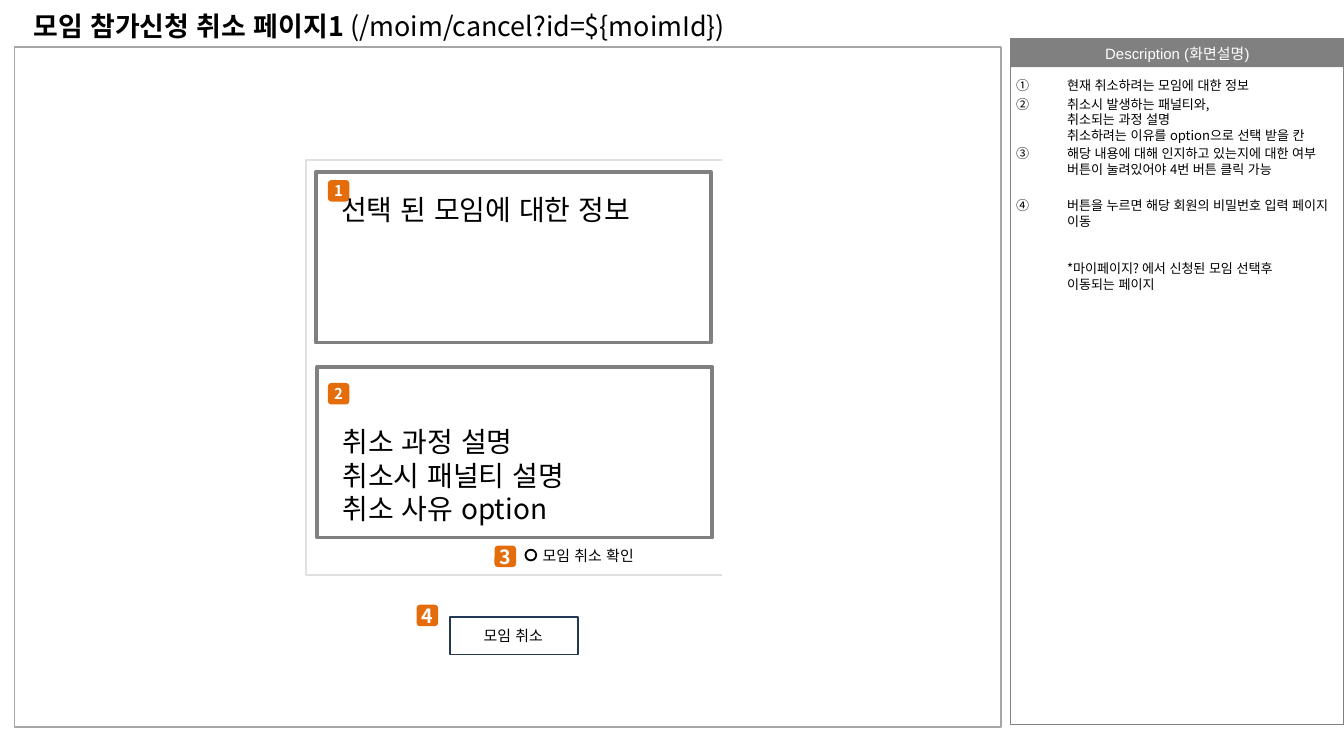
from dataclasses import dataclass
from typing import Optional

from lxml import etree
from pptx import Presentation
from pptx import util as u
from pptx.dml.color import RGBColor
from pptx.enum import lang, shapes, text
from pptx.oxml import ns

FONT = "Noto Sans CJK KR"
HEX = {
    "white": "FFFFFF", "black": "000000", "gray": "808080",
    "border": "A6A6A6", "pale": "E0E0E0", "navy": "233953",
    "orange": "E46C0A",
}
KIND = shapes.MSO_SHAPE
ALIGN = text.PP_ALIGN
MID = text.MSO_ANCHOR.MIDDLE


@dataclass
class Box:
    left: float
    top: float
    width: float
    height: float
    line: Optional[str] = None
    weight: float = 1
    fill: Optional[str] = None
    kind: int = KIND.RECTANGLE


@dataclass
class Label:
    left: float
    top: float
    width: float
    height: float
    lines: list[str]
    size: float


@dataclass
class Badge:
    left: float
    top: float
    mark: str
    size: float


@dataclass
class Note:
    lines: list[str]
    gap: float = 1.4
    mark: bool = True


def color(name: str) -> RGBColor:
    return RGBColor.from_string(HEX[name])


def style(shape, box: Box) -> None:
    shape.shadow.inherit = False
    if box.fill:
        shape.fill.solid()
        shape.fill.fore_color.rgb = color(box.fill)
    else:
        shape.fill.background()
    if box.line:
        shape.line.color.rgb = color(box.line)
        shape.line.width = u.Pt(box.weight)
    else:
        shape.line.fill.background()


def draw_box(slide, box: Box):
    shape = slide.shapes.add_shape(
        box.kind, u.Inches(box.left), u.Inches(box.top),
        u.Inches(box.width), u.Inches(box.height))
    style(shape, box)
    return shape


def add_run(para, words: str, size: float, bold: bool = False,
            ink: str = "black", face: str = FONT) -> None:
    run = para.add_run()
    run.text = words
    font = run.font
    font.name = face
    font.size = u.Pt(size)
    font.bold = bold
    font.color.rgb = color(ink)
    font.language_id = lang.MSO_LANGUAGE_ID.KOREAN


def set_pad(frame, left: float, top: float, right: float, base: float) -> None:
    frame.margin_left, frame.margin_top = u.Inches(left), u.Inches(top)
    frame.margin_right, frame.margin_bottom = u.Inches(right), u.Inches(base)


def add_frame(slide, left: float, top: float, width: float, height: float):
    area = slide.shapes.add_textbox(
        u.Inches(left), u.Inches(top), u.Inches(width), u.Inches(height))
    area.text_frame.word_wrap = True
    return area.text_frame


def get_para(frame, index: int):
    return frame.add_paragraph() if index else frame.paragraphs[0]


def draw_label(slide, item: Label) -> None:
    frame = add_frame(slide, item.left, item.top, item.width, item.height)
    for index, line in enumerate(item.lines):
        add_run(get_para(frame, index), line, item.size)


def draw_badge(slide, item: Badge) -> None:
    shape = draw_box(slide, Box(item.left, item.top, 0.16, 0.16,
                                fill="orange", kind=KIND.ROUNDED_RECTANGLE))
    frame = shape.text_frame
    set_pad(frame, 0, 0.05, 0, 0.05)
    frame.vertical_anchor = MID
    para = frame.paragraphs[0]
    para.alignment = ALIGN.CENTER
    add_run(para, item.mark, item.size, True, "white")


def draw_notes(slide, notes: list[Note]) -> None:
    frame = add_frame(slide, 7.52, 0.53, 2.48, 4.88)
    set_pad(frame, 0.04, 0.05, 0, 0.05)
    for index, note in enumerate(notes):
        para = get_para(frame, index)
        para.space_before = u.Pt(note.gap)
        props = para._p.get_or_add_pPr()
        props.set("marL", str(u.Inches(0.38)))
        props.set("indent", str(u.Inches(-0.38 if note.mark else 0)))
        if note.mark:
            bullet = etree.SubElement(props, ns.qn("a:buAutoNum"))
            bullet.set("type", "circleNumDbPlain")
        for row, line in enumerate(note.lines):
            if row:
                para.add_line_break()
            add_run(para, line, 7)


def draw_title(slide) -> None:
    title = slide.shapes.title
    title.left, title.top = u.Inches(0.15), u.Inches(0.03)
    title.width, title.height = u.Inches(7.24), u.Inches(0.32)
    frame = title.text_frame
    frame.auto_size = text.MSO_AUTO_SIZE.NONE
    frame.vertical_anchor = MID
    para = frame.paragraphs[0]
    para.alignment = ALIGN.LEFT
    add_run(para, "모임 참가신청 취소 페이지1 ", 14.4, True)
    add_run(para, "(/moim/cancel?id=${moimId})", 14.4)


def draw_head(slide) -> None:
    head = draw_box(slide, Box(7.52, 0.29, 2.48, 0.21, fill="gray"))
    frame = head.text_frame
    set_pad(frame, 0.09, 0.04, 0.09, 0.04)
    frame.word_wrap = False
    frame.vertical_anchor = MID
    para = frame.paragraphs[0]
    para.alignment = ALIGN.CENTER
    add_run(para, "Description (화면설명)", 8, ink="white", face="Arial")


def draw_panel(slide) -> None:
    panel = draw_box(slide, Box(0.11, 0.35, 7.34, 5.06, "border", 0.75, "white"))
    tint = panel._element.spPr.find(ns.qn("a:solidFill"))[0]
    etree.SubElement(tint, ns.qn("a:alpha")).set("val", "70000")


def draw_edge(slide) -> None:
    left, top, right, base = map(u.Inches, (2.28, 1.19, 5.37, 4.28))
    path = slide.shapes.build_freeform(right, top)
    path.add_line_segments([(left, top), (left, base), (right, base)], close=False)
    style(path.convert_to_shape(), Box(0, 0, 0, 0, "pale", 1))


BOXES = [
    Box(7.52, 0.29, 2.48, 5.1, "gray", 0.75),
    Box(3.35, 4.59, 0.95, 0.28, "navy"),
    Box(2.35, 1.28, 2.94, 1.27, "gray", 2),
    Box(2.36, 2.73, 2.94, 1.27, "gray", 2),
    Box(3.91, 4.09, 0.08, 0.08, "black", kind=KIND.OVAL),
]
BADGES = [
    Badge(2.44, 1.34, "1", 8), Badge(2.44, 2.85, "2", 8),
    Badge(3.68, 4.06, "3", 10.5), Badge(3.1, 4.5, "4", 10.5),
]
LABELS = [
    Label(3.5, 4.61, 0.75, 0.24, ["모임 취소"], 8),
    Label(2.44, 1.38, 2.76, 0.61, ["선택 된 모임에 대한 정보"], 15),
    Label(3.94, 4.02, 1.14, 0.24, ["모임 취소 확인"], 8),
    Label(2.45, 3.11, 2.76, 0.86,
          ["취소 과정 설명", "취소시 패널티 설명", "취소 사유 option"], 15),
]
NOTES = [
    Note(["현재 취소하려는 모임에 대한 정보"], 0),
    Note(["취소시 발생하는 패널티와,", "취소되는 과정 설명",
          "취소하려는 이유를 option으로 선택 받을 칸"]),
    Note(["해당 내용에 대해 인지하고 있는지에 대한 여부",
          "버튼이 눌려있어야 4번 버튼 클릭 가능"]),
    Note(["버튼을 누르면 해당 회원의 비밀번호 입력 페이지 이동"], 11),
    Note(["*마이페이지? 에서 신청된 모임 선택후", "이동되는 페이지"], 17, False),
]


def main() -> None:
    deck = Presentation()
    deck.slide_width = u.Inches(10)
    deck.slide_height = deck.slide_width * 9 // 16
    slide = deck.slides.add_slide(deck.slide_layouts[5])
    draw_title(slide)
    draw_head(slide)
    draw_panel(slide)
    draw_edge(slide)
    for items, draw in ((BOXES, draw_box), (BADGES, draw_badge), (LABELS, draw_label)):
        for item in items:
            draw(slide, item)
    draw_notes(slide, NOTES)
    deck.save("out.pptx")


if __name__ == "__main__":
    main()
